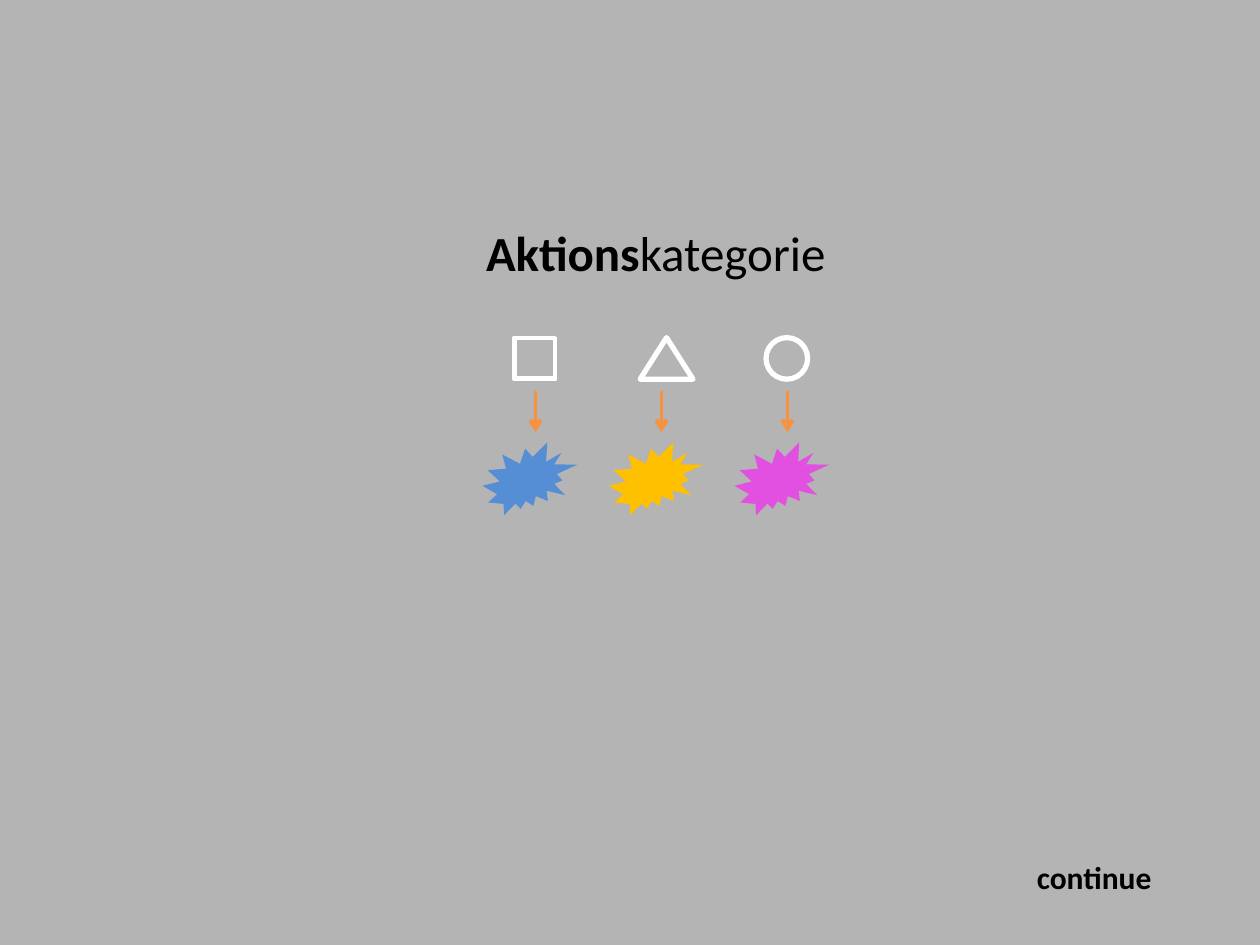
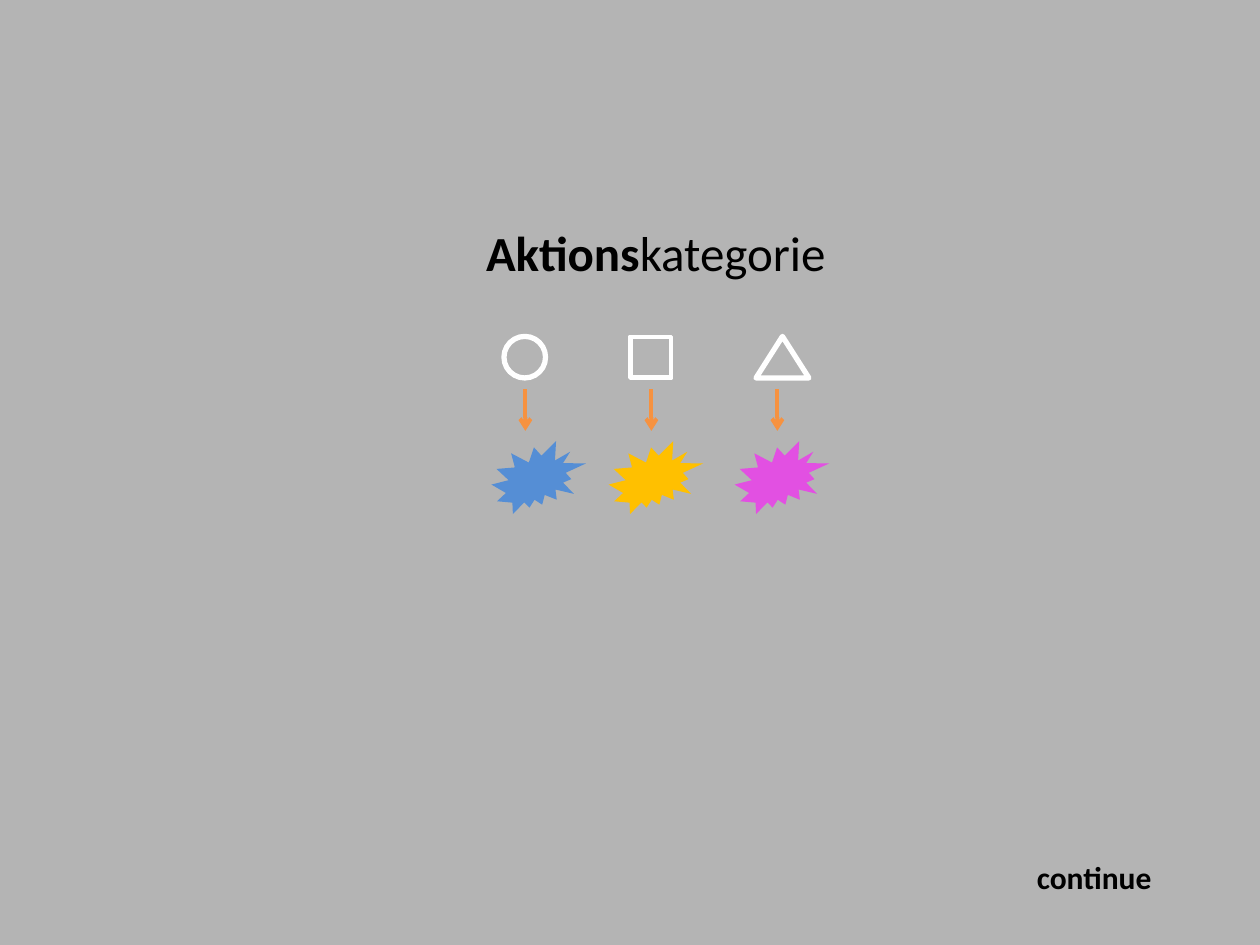
from lxml import etree
from pptx import Presentation
from pptx.dml.color import RGBColor
from pptx.enum.shapes import MSO_CONNECTOR, MSO_SHAPE
from pptx.enum.text import MSO_ANCHOR, MSO_AUTO_SIZE, PP_ALIGN
from pptx.oxml.ns import qn
from pptx.util import Inches, Pt

SQUARE = MSO_SHAPE.FRAME
TRIANGLE = MSO_SHAPE.ISOSCELES_TRIANGLE
CIRCLE = MSO_SHAPE.OVAL
BURST = MSO_SHAPE.EXPLOSION2
STRAIGHT = MSO_CONNECTOR.STRAIGHT
CENTER = PP_ALIGN.CENTER
BOTTOM = MSO_ANCHOR.BOTTOM
NO_FIT = MSO_AUTO_SIZE.NONE

GREY = RGBColor(0xB4, 0xB4, 0xB4)
BLACK = RGBColor(0, 0, 0)
WHITE = RGBColor(0xFF, 0xFF, 0xFF)
ORANGE = RGBColor(0xF6, 0x92, 0x40)
BLUE = RGBColor(0x55, 0x8E, 0xD5)
YELLOW = RGBColor(0xFF, 0xC0, 0x00)
PINK = RGBColor(0xE2, 0x50, 0xE2)

# Width and line weight of each symbol
SYMBOLS = {SQUARE: (0.33, 2), TRIANGLE: (0.42, 3), CIRCLE: (0.33, 3)}


class Deck:
    font = "Calibri"
    title_only = 5

    def __init__(self):
        self.prs = Presentation()
        self.prs.slide_width = Inches(10)
        self.prs.slide_height = Inches(7.5)
        fill = self.prs.slide_master.background.fill
        fill.solid()
        fill.fore_color.rgb = GREY

    def slide(self):
        layout = self.prs.slide_layouts[self.title_only]
        self.s = self.prs.slides.add_slide(layout)

    def style(self, p, size):
        p.font.name = self.font
        p.font.size = Pt(size)
        p.font.color.rgb = BLACK

    def title(self, strong, rest):
        sp = self.s.shapes.title
        sp.left, sp.top = Inches(0.58), Inches(0.5)
        sp.width, sp.height = Inches(9.25), Inches(1.78)
        tf = sp.text_frame
        tf.auto_size = NO_FIT
        tf.vertical_anchor = BOTTOM
        p = tf.paragraphs[0]
        p.alignment = CENTER
        self.style(p, 28)
        for text, bold in ((strong, True), (rest, False)):
            r = p.add_run()
            r.text = text
            r.font.bold = bold

    def label(self, text, x, y, w, h):
        sp = self.s.shapes.add_textbox(Inches(x), Inches(y), Inches(w), Inches(h))
        tf = sp.text_frame
        tf.word_wrap = False
        p = tf.paragraphs[0]
        p.text = text
        self.style(p, 18)
        p.font.bold = True

    def shape(self, kind, x, y, w, h):
        sp = self.s.shapes.add_shape(kind, Inches(x), Inches(y), Inches(w), Inches(h))
        sp.shadow.inherit = False
        return sp

    def symbol(self, kind, x, y):
        width, weight = SYMBOLS[kind]
        sp = self.shape(kind, x, y, width, 0.33)
        sp.fill.background()
        sp.line.color.rgb = WHITE
        sp.line.width = Pt(weight)
        if kind == SQUARE:
            sp.adjustments[0] = 0.022

    def burst(self, color, x, y):
        sp = self.shape(BURST, x, y, 0.75, 0.58)
        sp.fill.solid()
        sp.fill.fore_color.rgb = color
        sp.line.fill.background()

    def arrow(self, x, y):
        c = self.s.shapes.add_connector(
            STRAIGHT, Inches(x), Inches(y), Inches(x), Inches(y + 0.33))
        c.line.color.rgb = ORANGE
        c.line.width = Pt(2.25)
        etree.SubElement(c.line._get_or_add_ln(), qn("a:tailEnd"), type="arrow")
        etree.SubElement(c._element.spPr, qn("a:effectLst"))

    def mapping(self, symbols, left, top, burst_lefts):
        """Columns one inch apart: symbol, arrow, coloured burst."""
        colors = (BLUE, YELLOW, PINK)
        for i, (kind, color, burst_x) in enumerate(zip(symbols, colors, burst_lefts)):
            self.symbol(kind, left + i, top)
            self.arrow(left + i + 0.17, top + 0.42)
            self.burst(color, burst_x, top + 0.83)


deck = Deck()

# Symbol order, left and top of the symbols, lefts of the bursts
SLIDES = (
    ((SQUARE, TRIANGLE, CIRCLE), 4.08, 2.68, (3.83, 4.83, 5.83)),
    ((CIRCLE, SQUARE, TRIANGLE), 4, 2.67, (3.9, 4.83, 5.83)),
)
for layout in SLIDES:
    deck.slide()
    deck.title("Aktions", "kategorie")
    deck.mapping(*layout)
    deck.label("continue", 8.13, 6.76, 1.12, 0.4)

deck.prs.save("out.pptx")
